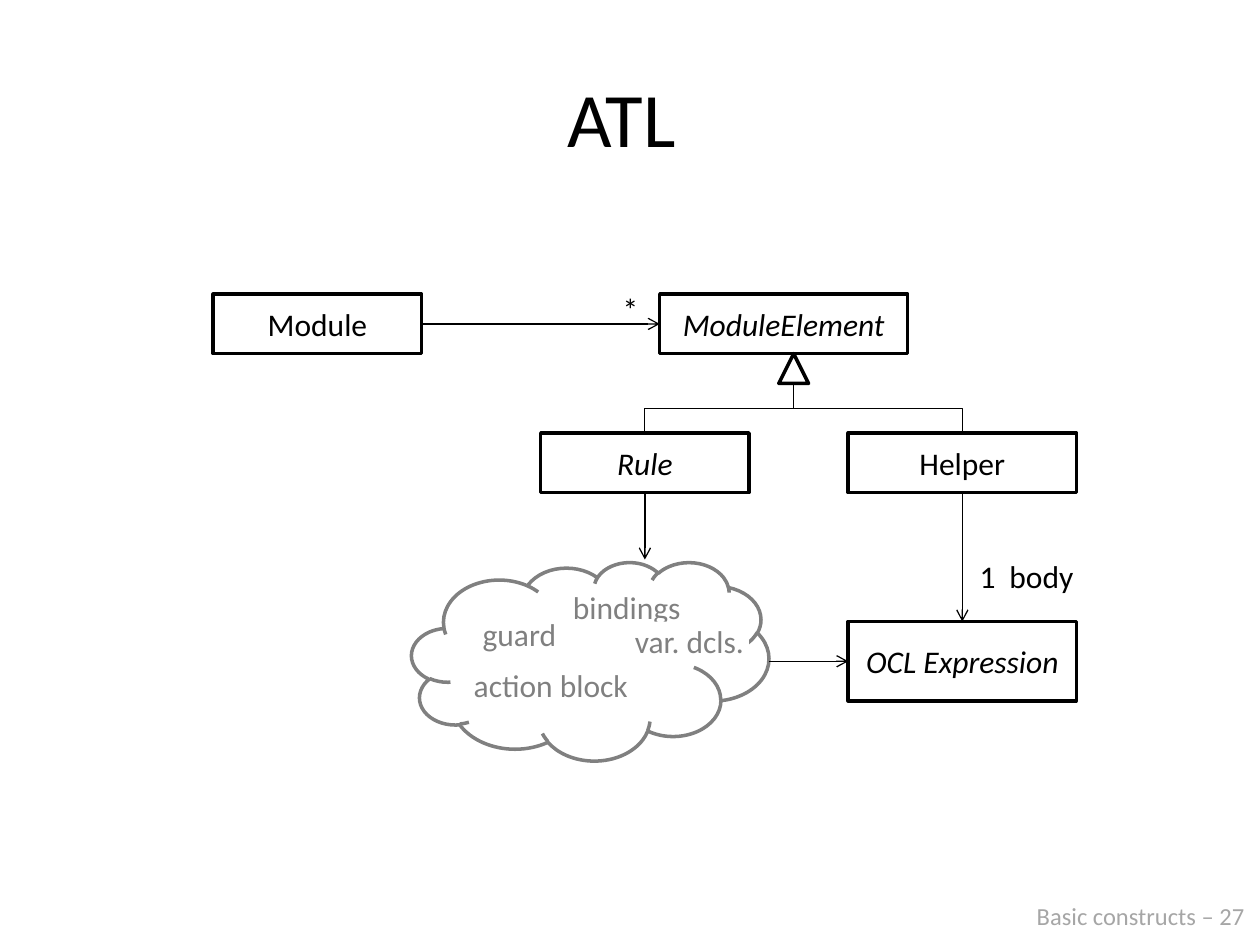
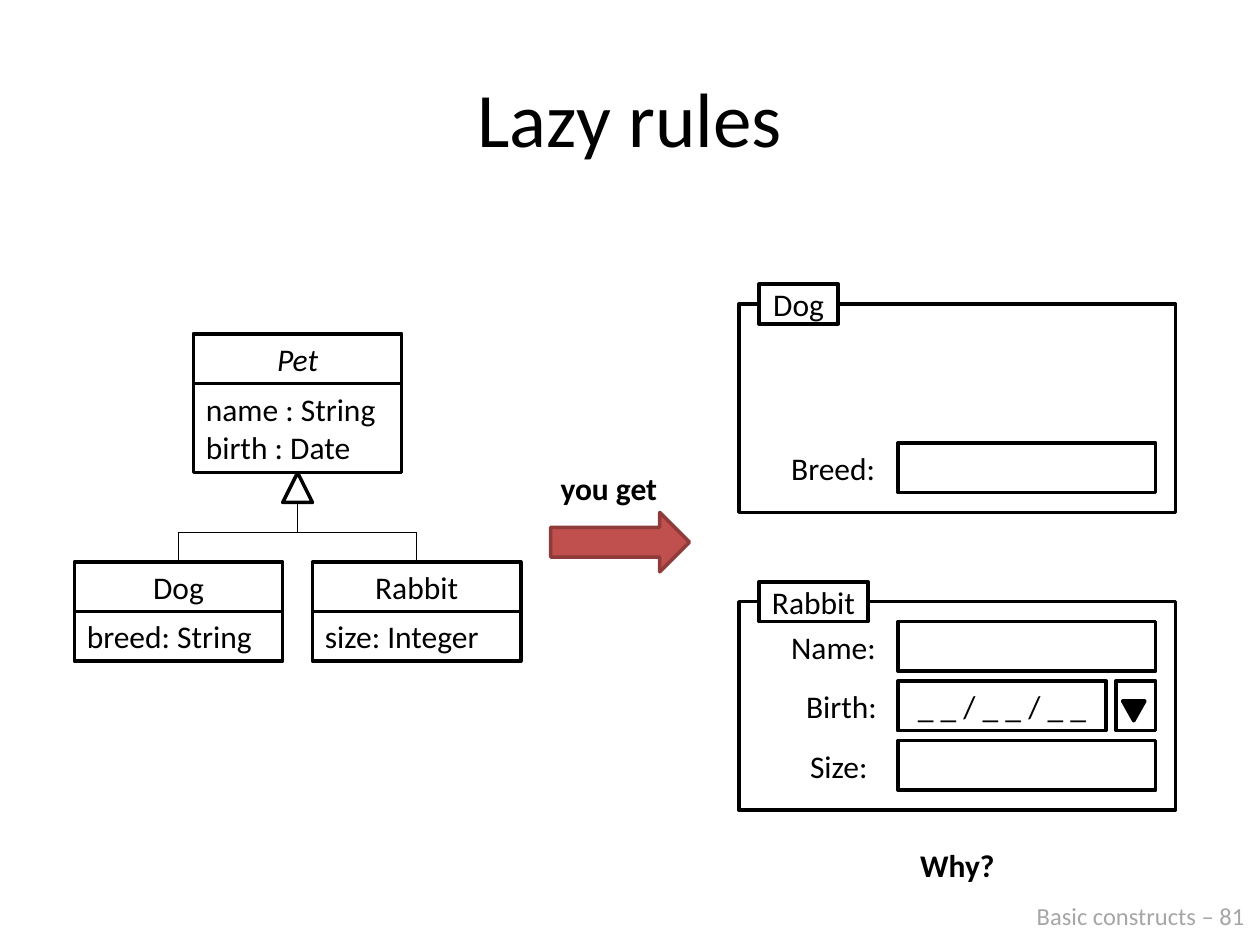
from dataclasses import dataclass
from typing import Any, NamedTuple, Optional

import lxml.etree
import pptx
import pptx.dml.color
import pptx.enum.shapes
import pptx.enum.text
import pptx.oxml.ns
import pptx.util

Cm = pptx.util.Cm
Pt = pptx.util.Pt
SHAPE = pptx.enum.shapes.MSO_SHAPE
CONNECTOR = pptx.enum.shapes.MSO_CONNECTOR
ALIGN = pptx.enum.text.PP_ALIGN
ANCHOR = pptx.enum.text.MSO_ANCHOR
AUTO_SIZE = pptx.enum.text.MSO_AUTO_SIZE
qn = pptx.oxml.ns.qn
TOP, LEFT, BOTTOM, RIGHT = range(4)


@dataclass(frozen=True)
class Theme:
    font: str = "Calibri"
    ink: str = "000000"
    paper: str = "FFFFFF"
    muted: str = "808080"
    footer: str = "A6A6A6"
    accent: str = "C0504D"
    accent_edge: str = "8E3B39"
    title_size: int = 44
    body_size: int = 18
    footer_size: int = 14
    outline: float = 2
    hairline: float = 0.75


THEME = Theme()


class Area(NamedTuple):
    """Left, top, width and height in centimetres."""
    left: float
    top: float
    width: float
    height: float

    def lengths(self) -> list[Any]:
        return [Cm(value) for value in self]


@dataclass(frozen=True)
class Box:
    area: Area
    text: str = ""
    shape: Any = SHAPE.RECTANGLE
    italic: bool = False
    align: Any = ALIGN.CENTER
    fill: str = THEME.paper
    line: str = THEME.ink
    rotation: int = 0


@dataclass(frozen=True)
class Label:
    area: Area
    text: str
    color: str = THEME.ink
    size: int = THEME.body_size
    bold: bool = False
    tab: Optional[float] = None


# Shared formatting
def apply(target: Any, formats: dict[str, Any]) -> None:
    for name, value in formats.items():
        setattr(target, name, value)


def rgb(color: str) -> Any:
    return pptx.dml.color.RGBColor.from_string(color)


def write(frame: Any, text: str, align: Any, color: str = THEME.ink,
          size: int = THEME.body_size, **styles: Any) -> None:
    for index, line in enumerate(text.split("\n")):
        para = frame.add_paragraph() if index else frame.paragraphs[0]
        para.alignment = align
        span = para.add_run()
        span.text = line
        apply(span.font, {"name": THEME.font, "size": Pt(size), **styles})
        span.font.color.rgb = rgb(color)


# Drawing functions
def draw_box(page: Any, box: Box) -> Any:
    shape = page.shapes.add_shape(box.shape, *box.area.lengths())
    shape.shadow.inherit = False
    shape.rotation = box.rotation
    shape.fill.solid()
    shape.fill.fore_color.rgb = rgb(box.fill)
    shape.line.color.rgb = rgb(box.line)
    shape.line.width = Pt(THEME.outline)
    if box.text:
        apply(shape.text_frame, {"word_wrap": True, "vertical_anchor": ANCHOR.MIDDLE})
        write(shape.text_frame, box.text, box.align, italic=box.italic)
    return shape


def draw_label(page: Any, label: Label) -> Any:
    shape = page.shapes.add_textbox(*label.area.lengths())
    frame = shape.text_frame
    apply(frame, {"word_wrap": label.tab is not None,
                  "auto_size": AUTO_SIZE.SHAPE_TO_FIT_TEXT})
    if label.tab is not None:
        properties = frame.paragraphs[0]._p.get_or_add_pPr()
        tabs = lxml.etree.SubElement(properties, qn("a:tabLst"))
        lxml.etree.SubElement(tabs, qn("a:tab"), pos=str(Cm(label.tab)), algn="l")
    write(frame, label.text, ALIGN.LEFT, label.color, label.size, bold=label.bold)
    return shape


def draw_line(page: Any, kind: Any, start: tuple[float, float],
              end: tuple[float, float], arrow: bool = False) -> Any:
    line = page.shapes.add_connector(kind, *[Cm(value) for value in start + end])
    line.line.color.rgb = rgb(THEME.ink)
    line.line.width = Pt(THEME.hairline)
    if arrow:
        lxml.etree.SubElement(line.line._get_or_add_ln(), qn("a:tailEnd"), type="arrow")
    lxml.etree.SubElement(line._element.spPr, qn("a:effectLst"))
    return line


def draw_arrow(page: Any, start: tuple[float, float], end: tuple[float, float],
               source: Any = None, source_side: int = RIGHT,
               target: Any = None, target_side: int = LEFT) -> None:
    arrow = draw_line(page, CONNECTOR.STRAIGHT, start, end, arrow=True)
    if source is not None:
        arrow.begin_connect(source, source_side)
    if target is not None:
        arrow.end_connect(target, target_side)


def draw_inheritance(page: Any, parent_x: float, parent_bottom: float,
                     child_top: float, child_centers: tuple[float, ...]) -> None:
    """A hollow triangle under the parent, with an elbow up from each child."""
    size = 0.6
    draw_box(page, Box(Area(parent_x - size / 2, parent_bottom, size, size),
                       shape=SHAPE.ISOSCELES_TRIANGLE))
    rise = child_top - parent_bottom - size
    middle_y = child_top - rise / 2
    for child_x in child_centers:
        # The elbow is laid out sideways and then turned upright
        middle_x = (child_x + parent_x) / 2
        half_span = abs(parent_x - child_x) / 2
        side = 1 if child_x < parent_x else -1
        elbow = draw_line(page, CONNECTOR.ELBOW,
                          (middle_x + side * rise / 2, middle_y + half_span),
                          (middle_x - side * rise / 2, middle_y - half_span))
        turn = 90 if side == 1 else 270
        elbow._element.spPr.find(qn("a:xfrm")).set("rot", str(turn * 60000))


def start_page(deck: Any, title: str, number: int) -> Any:
    page = deck.slides.add_slide(deck.slide_layouts[5])
    heading = page.shapes.title
    apply(heading, dict(zip(("left", "top", "width", "height"),
                            Area(1.27, 0.76, 22.86, 3.18).lengths())))
    heading.text_frame.vertical_anchor = ANCHOR.MIDDLE
    write(heading.text_frame, title, ALIGN.CENTER, size=THEME.title_size)
    draw_label(page, Label(Area(20.65, 18.03, 4.75, 0.86),
                           f"Basic constructs – {number}",
                           THEME.footer, THEME.footer_size))
    return page


# Slide: ATL metamodel
def build_metamodel(deck: Any) -> None:
    page = start_page(deck, "ATL ", 27)
    module = draw_box(page, Box(Area(4.3, 5.93, 4.2, 1.2), "Module"))
    element = draw_box(page, Box(Area(13.3, 5.93, 5, 1.2), "ModuleElement", italic=True))
    rule = draw_box(page, Box(Area(10.9, 8.73, 4.2, 1.2), "Rule", italic=True))
    helper = draw_box(page, Box(Area(17.1, 8.73, 4.6, 1.2), "Helper"))
    expression = draw_box(page, Box(Area(17.1, 12.53, 4.6, 1.6), "OCL Expression",
                                    italic=True))
    draw_inheritance(page, 16, 7.13, 8.73, (13, 19.4))

    # Rule contents
    draw_box(page, Box(Area(8.3, 11.33, 7.2, 4), shape=SHAPE.CLOUD, line=THEME.muted))
    for area, text in (
        (Area(9.48, 12.28, 2, 1.03), "guard"),
        (Area(11.3, 11.73, 2.73, 1.03), "bindings"),
        (Area(9.3, 13.3, 3.66, 1.03), "action block"),
    ):
        draw_label(page, Label(area, text, THEME.muted))
    variables = draw_label(page, Label(Area(12.7, 12.53, 2.4, 0.76), "var. dcls.",
                                       THEME.muted))
    variables.fill.solid()
    variables.fill.fore_color.rgb = rgb(THEME.paper)
    apply(variables.text_frame, {"margin_left": Cm(0.1), "margin_right": Cm(0.1),
                                 "margin_top": 0, "margin_bottom": 0})

    # Associations
    draw_arrow(page, (8.5, 6.53), (13.3, 6.53), module, RIGHT, element, LEFT)
    draw_arrow(page, (19.4, 9.93), (19.4, 12.53), helper, BOTTOM, expression, TOP)
    draw_arrow(page, (13, 9.93), (13, 11.28), rule, BOTTOM)
    draw_arrow(page, (15.5, 13.33), (17.1, 13.33), target=expression, target_side=LEFT)
    draw_label(page, Label(Area(12.3, 5.72, 0.83, 1.03), "*"))
    draw_label(page, Label(Area(19.5, 11.1, 2.8, 1.03), "1\tbody", tab=0.6))


# Slide: lazy rules
class PetClass(NamedTuple):
    name: str
    attributes: str
    left: float
    top: float
    attributes_height: float = 1
    abstract: bool = False


class Field(NamedTuple):
    caption: str
    caption_left: float
    caption_width: float
    offset: float
    is_date: bool = False


class Form(NamedTuple):
    name: str
    top: float
    tab_width: float
    fields: tuple[Field, ...]


CLASSES = (
    PetClass("Pet", "name : String\nbirth : Date", 3.9, 6.73, 1.8, True),
    PetClass("Dog", "breed: String", 1.5, 11.33),
    PetClass("Rabbit", "size: Integer", 6.3, 11.33),
)
FORMS = (
    Form("Dog", 6.13, 1.6, (Field("Breed:", 15.7, 2.36, 2.8),)),
    Form("Rabbit", 12.13, 2.2, (
        Field("Name:", 15.7, 2.38, 0.4),
        Field("Birth:", 16, 2.1, 1.6, True),
        Field("Size:", 16.08, 1.83, 2.8),
    )),
)


def draw_class(page: Any, pet: PetClass) -> None:
    draw_box(page, Box(Area(pet.left, pet.top, 4.2, 1), pet.name, italic=pet.abstract))
    draw_box(page, Box(Area(pet.left, pet.top + 1, 4.2, pet.attributes_height),
                       pet.attributes, align=ALIGN.LEFT))


def draw_form(page: Any, form: Form) -> None:
    draw_box(page, Box(Area(14.9, form.top, 8.8, 4.2)))
    for field in form.fields:
        top = form.top + field.offset
        draw_label(page, Label(Area(field.caption_left, top, field.caption_width, 1.03),
                               field.caption))
        if field.is_date:
            draw_box(page, Box(Area(18.1, top, 4.2, 1), "_ _ / _ _ / _ _"))
            draw_box(page, Box(Area(22.5, top, 0.8, 1)))
            draw_box(page, Box(Area(22.63, top + 0.4, 0.45, 0.4), fill=THEME.ink,
                               shape=SHAPE.ISOSCELES_TRIANGLE, rotation=180))
        else:
            draw_box(page, Box(Area(18.1, top, 5.2, 1)))
    draw_box(page, Box(Area(15.3, form.top - 0.4, form.tab_width, 0.8), form.name))


def build_lazy_rules(deck: Any) -> None:
    page = start_page(deck, "Lazy rules", 81)
    for pet in CLASSES:
        draw_class(page, pet)
    draw_inheritance(page, 6, 9.53, 11.33, (3.6, 8.4))
    for form in FORMS:
        draw_form(page, form)
    draw_box(page, Box(Area(11.1, 10.33, 2.8, 1.2), shape=SHAPE.RIGHT_ARROW,
                       fill=THEME.accent, line=THEME.accent_edge))
    draw_label(page, Label(Area(11.05, 9.33, 2.46, 1.03), "you get", bold=True))
    draw_label(page, Label(Area(18.3, 16.93, 2.03, 1.03), "Why?", bold=True))


def main() -> None:
    deck = pptx.Presentation()
    deck.slide_width, deck.slide_height = Cm(25.4), Cm(19.05)
    build_metamodel(deck)
    build_lazy_rules(deck)
    deck.save("out.pptx")


if __name__ == "__main__":
    main()
